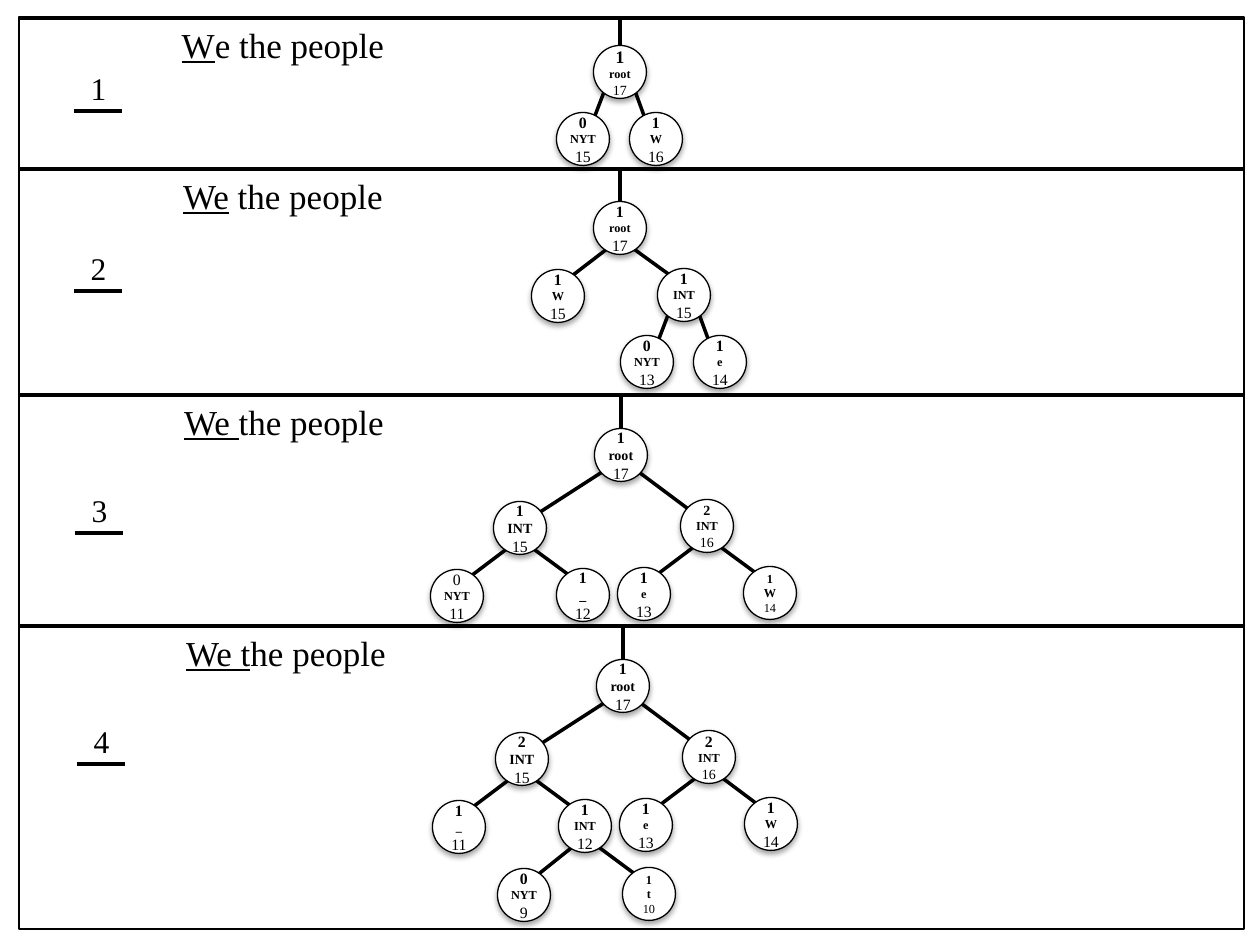
from lxml import etree
from pptx import Presentation
from pptx.dml.color import RGBColor
from pptx.enum import shapes, text
from pptx.oxml.ns import qn
from pptx.util import Emu, Pt

PIXEL = 914400 // 126
COLORS = {"ink": "000000", "paper": "FFFFFF"}
NODE = 53


def px(length):
    return Emu(round(length * PIXEL))


class Sheet:
    """Style and current slide, with one method per kind of element."""
    font = "Times New Roman"

    def __init__(self, slide):
        self.shapes = slide.shapes

    def color(self, name):
        return RGBColor.from_string(COLORS[name])

    def outline(self, kind, x, y, w, h, fill=None):
        shape = self.shapes.add_shape(kind, px(x), px(y), px(w), px(h))
        shape.shadow.inherit = False
        if fill:
            shape.fill.solid()
            shape.fill.fore_color.rgb = self.color(fill)
        else:
            shape.fill.background()
        shape.line.color.rgb = self.color("ink")
        shape.line.width = Pt(0.75)
        return shape

    def line(self, x1, y1, x2, y2):
        line = self.shapes.add_connector(
            shapes.MSO_CONNECTOR.STRAIGHT, px(x1), px(y1), px(x2), px(y2))
        line.line.color.rgb = self.color("ink")
        line.line.width = Pt(2)
        etree.SubElement(line._element.spPr, qn("a:effectLst"))

    def style(self, paragraph, size, bold=False):
        paragraph.alignment = text.PP_ALIGN.CENTER
        paragraph.font.name = self.font
        paragraph.font.size = Pt(size)
        paragraph.font.bold = bold
        paragraph.font.color.rgb = self.color("ink")

    def label(self, x, y, w, h, words, size, underlined=0):
        frame = self.shapes.add_textbox(px(x), px(y), px(w), px(h)).text_frame
        frame.word_wrap = True
        paragraph = frame.paragraphs[0]
        for part, underline in ((words[:underlined], True), (words[underlined:], None)):
            if part:
                run = paragraph.add_run()
                run.text = part
                run.font.underline = underline
        self.style(paragraph, size)

    def cast_shadow(self, shape):
        effects = shape._element.spPr.find(qn("a:effectLst"))
        shadow = etree.SubElement(
            effects, qn("a:outerShdw"), blurRad=str(Pt(3.1)), dist=str(Pt(1.8)),
            dir="5400000", rotWithShape="0")
        ink = etree.SubElement(shadow, qn("a:srgbClr"), val=COLORS["ink"])
        etree.SubElement(ink, qn("a:alpha"), val="35000")

    def node(self, x, y, lines, sizes=(9, 7, 9), bolds=(True, True, False)):
        circle = self.outline(shapes.MSO_SHAPE.OVAL, x - NODE / 2, y - NODE / 2,
                              NODE, NODE, "paper")
        self.cast_shadow(circle)
        frame = circle.text_frame
        frame.margin_left = frame.margin_right = 0
        frame.margin_top = frame.margin_bottom = 0
        frame.word_wrap = False
        frame.vertical_anchor = text.MSO_ANCHOR.MIDDLE
        frame.text = "\n".join(lines.split())
        for paragraph, size, bold in zip(frame.paragraphs, sizes, bolds):
            self.style(paragraph, size, bold)

    def branch(self, parent, child):
        (x1, y1), (x2, y2) = parent, child
        side = 1 if x2 > x1 else -1
        if abs(x2 - x1) < 50:      # close siblings
            self.line(x1, y1 - 22, x2 - side * 10, y2 - 18)
        elif abs(x2 - x1) < 80:    # one level of subtree
            self.line(x1, y1 + 11, x2 - side * 6, y2 - 14)
        else:                      # two levels of subtree
            self.line(x1 + side * 11, y1 + 12, x2, y2 - 3)

    def tree(self, top, nodes):
        centers = [node[1:3] for node in nodes]
        root_x, root_y = centers[0]
        self.line(root_x, top, root_x, root_y)
        for parent, x, y, *_ in nodes[1:]:
            self.branch(centers[parent], (x, y))
        for _, x, y, *content in nodes:
            self.node(x, y, *content)


# Steps: row top, number top, sideways shift, letters read,
# nodes as (parent, centre x, centre y, lines, sizes, bolds)
STEPS = [
    (18, 63, 0, 1, [
        (None, 620, 72, "1 root 17", (10, 7, 8)),
        (0, 583, 139, "0 NYT 15"),
        (0, 656, 139, "1 W 16")]),
    (169, 243, 0, 2, [
        (None, 620, 228, "1 root 17"),
        (0, 558, 296, "1 W 15"),
        (0, 684, 295, "1 INT 15"),
        (2, 647, 362, "0 NYT 13"),
        (2, 720, 362, "1 e 14")]),
    (395, 485, 1, 3, [
        (None, 621, 455, "1 root 17", (9, 8, 9)),
        (0, 520, 528, "1 INT 15", (9, 8, 9)),
        (0, 707, 526, "2 INT 16", (8, 7, 8)),
        (1, 457, 596, "0 NYT 11", (9, 7, 9), (False, True, False)),
        (1, 583, 595, "1 _ 12", (9, 8, 9)),
        (2, 644, 594, "1 e 13"),
        (2, 770, 593, "1 W 14", (7, 7, 7))]),
    (626, 716, 3, 4, [
        (None, 623, 686, "1 root 17", (9, 8, 9)),
        (0, 522, 759, "2 INT 15", (9, 8, 9)),
        (0, 709, 757, "2 INT 16", (9, 7, 8)),
        (1, 459, 827, "1 _ 11"),
        (1, 585, 826, "1 INT 12"),
        (2, 646, 825, "1 e 13"),
        (2, 771, 824, "1 W 14"),
        (4, 524, 895, "0 NYT 9"),
        (4, 649, 894, "1 t 10", (7, 7, 7))]),
]

deck = Presentation()
deck.slide_width, deck.slide_height = px(1260), px(945)
sheet = Sheet(deck.slides.add_slide(deck.slide_layouts[6]))

# Frame around all steps
sheet.outline(shapes.MSO_SHAPE.RECTANGLE, 19, 17, 1225, 912)

for number, (top, number_top, shift, letters, nodes) in enumerate(STEPS, 1):
    # Row line and the text read so far
    sheet.line(19, top, 1243, top)
    sheet.label(19 + shift, top - 1, 528, 55, "We the people", 20, letters)
    # Step number with its rule
    sheet.label(52 + shift, number_top, 93, 50, str(number), 18)
    sheet.line(74 + shift, number_top + 48, 122 + shift, number_top + 48)
    # Code tree after this step
    sheet.tree(top, nodes)

deck.save("out.pptx")
